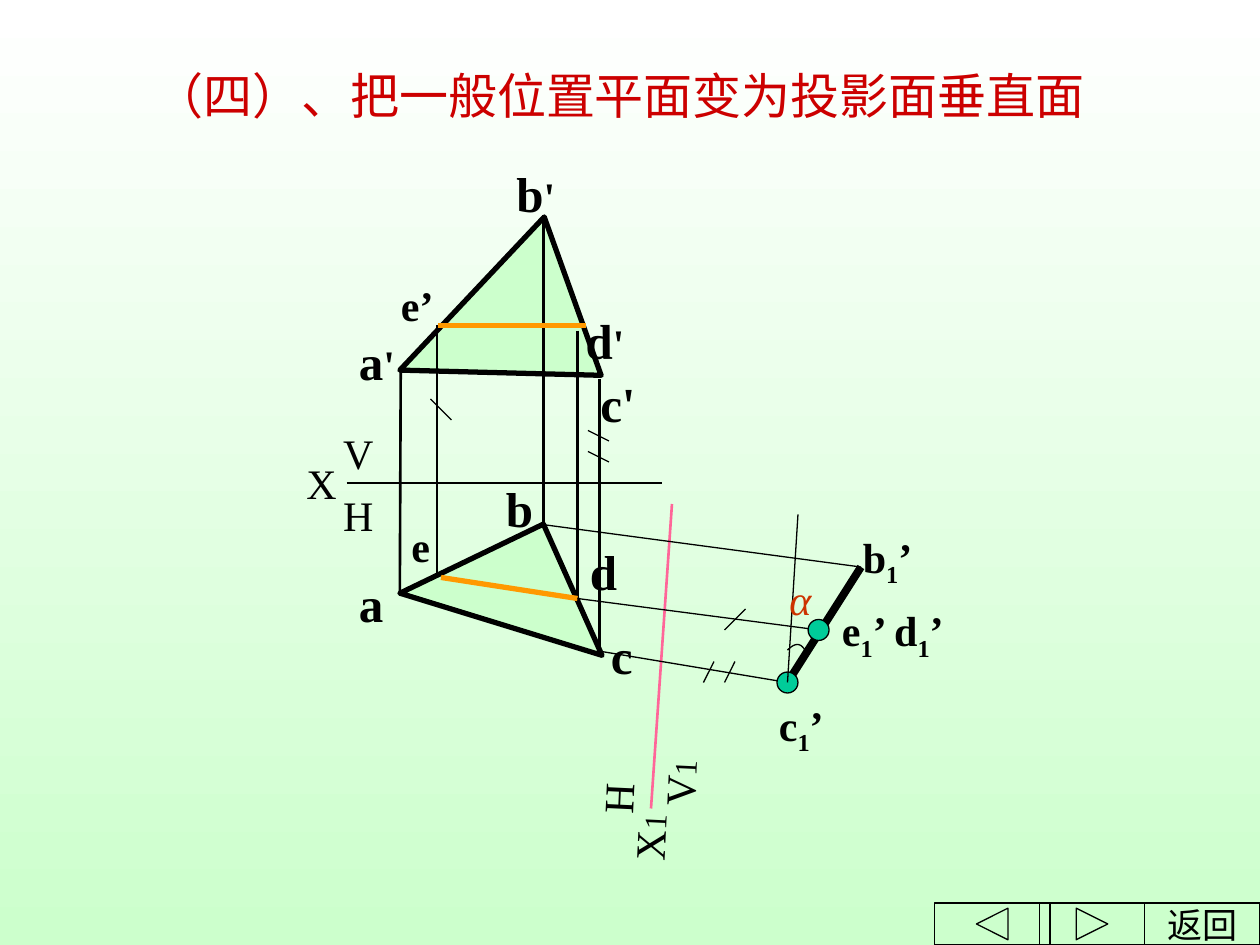
from lxml.etree import SubElement
from pptx import Presentation
from pptx.dml.color import RGBColor
from pptx.enum.shapes import MSO_CONNECTOR, MSO_SHAPE
from pptx.enum.text import MSO_ANCHOR, MSO_AUTO_SIZE, PP_ALIGN
from pptx.oxml.ns import qn
from pptx.util import Pt

BLACK = RGBColor(0x00, 0x00, 0x00)
WHITE = RGBColor(0xFF, 0xFF, 0xFF)
MINT = RGBColor(0xCC, 0xFF, 0xCC)
RED = RGBColor(0xCC, 0x00, 0x00)
RUST = RGBColor(0xCC, 0x33, 0x00)
ORANGE = RGBColor(0xFF, 0x99, 0x00)
PINK = RGBColor(0xFF, 0x66, 0x99)
TEAL = RGBColor(0x00, 0xCC, 0x99)


def write(para, text, size, color=BLACK, **extra):
    """Add one run, with its font set from a dict of values."""
    run = para.add_run()
    run.text = text
    look = {"name": "Times New Roman", "size": Pt(size), **extra}
    for key, val in look.items():
        setattr(run.font, key, val)
    run.font.color.rgb = color
    return run


def outline(paths, fill=None, width=0.75):
    """Draw a freeform; each path is a list of points and a closed flag."""
    first = paths[0][0][0]
    pen = deck_shapes.build_freeform(Pt(first[0]), Pt(first[1]))
    for i, (spots, shut) in enumerate(paths):
        spots = [(Pt(x), Pt(y)) for x, y in spots]
        if i:
            pen.move_to(*spots[0])
        pen.add_line_segments(spots[1:], close=shut)
    form = pen.convert_to_shape()
    form.shadow.inherit = False
    if fill is None:
        form.fill.background()
    else:
        form.fill.solid()
        form.fill.fore_color.rgb = fill
    form.line.color.rgb = BLACK
    form.line.width = Pt(width)
    return form


deck = Presentation()
deck.slide_width, deck.slide_height = Pt(720), Pt(540)
slide = deck.slides.add_slide(deck.slide_layouts[5])
deck_shapes = slide.shapes

# Background, white at the top to mint at the bottom
back = slide.background.fill
back.gradient()
back.gradient_angle = 270
for stop, color in zip(back.gradient_stops, (WHITE, MINT)):
    stop.color.rgb = color

# Title
title = deck_shapes.title
title.left, title.top, title.width, title.height = Pt(48), Pt(30), Pt(612), Pt(48)
frame = title.text_frame
frame.auto_size = MSO_AUTO_SIZE.NONE
frame.vertical_anchor = MSO_ANCHOR.MIDDLE
para = frame.paragraphs[0]
para.alignment = PP_ALIGN.CENTER
write(para, "（四）、把一般位置平面变为投影面垂直面", 28, RED)

# Triangles abc and a'b'c'
for spots in ([(228.5, 339), (310.5, 299.5), (344, 374.5)],
              [(228.5, 211.5), (311, 124), (343.5, 214.5)]):
    outline([(spots, True)], MINT, 3)

# Lines: x1, y1, x2, y2, colour, width
lines = [
    (229, 212, 228.5, 338.5, BLACK, 1.5),    # a' to a
    (310.5, 124.5, 310.5, 299.5, BLACK, 1.5),  # b' to b
    (342.5, 216.5, 342.5, 374.5, BLACK, 1.5),  # c' to c
    (198, 276, 378, 276, BLACK, 1.5),        # X axis
    (330, 189, 330, 342, BLACK, 1.5),        # d' to d
    (252, 330, 330, 342, ORANGE, 3),         # ed
    (250.5, 186, 335, 186, ORANGE, 3),       # e'd'
    (249.75, 186, 249.75, 330, BLACK, 0.75),  # e' to e
    (384, 288, 372, 462, PINK, 1.5),         # X1 axis
    (330, 342, 468, 360, BLACK, 0.75),       # d to d1'
    (342, 372, 450, 390, BLACK, 0.75),       # c to c1'
    (312, 300, 492, 324, BLACK, 0.75),       # b to b1'
    (450, 390, 492, 324, BLACK, 4.5),        # c1' to b1'
    (246, 228, 258, 240, BLACK, 0.75),       # equal length marks
    (414, 360, 426, 348, BLACK, 0.75),
    (402, 390, 408, 378, BLACK, 0.75),
    (414, 390, 420, 378, BLACK, 0.75),
    (336, 246, 348, 252, BLACK, 0.75),
    (336, 258, 348, 264, BLACK, 0.75),
]

# Points c1' and e1', drawn between the lines and the angle's upright
upright = (450, 390, 456, 294, BLACK, 0.75)
for x1, y1, x2, y2, color, width in lines + [upright]:
    if (x1, y1, x2, y2, color, width) == upright:
        for x, y in ((444, 384), (461.75, 354)):
            dot = deck_shapes.add_shape(MSO_SHAPE.OVAL, Pt(x), Pt(y), Pt(12), Pt(12))
            dot.shadow.inherit = False
            dot.fill.solid()
            dot.fill.fore_color.rgb = TEAL
            dot.line.color.rgb = BLACK
            dot.line.width = Pt(0.75)
    link = deck_shapes.add_connector(MSO_CONNECTOR.STRAIGHT, Pt(x1), Pt(y1), Pt(x2), Pt(y2))
    link.line.color.rgb = color
    link.line.width = Pt(width)
    SubElement(link._element.spPr, qn("a:effectLst"))

# Angle arc, a cubic curve in short steps
curve = [(450, 371.5), (453.5, 368), (457, 366.5), (460, 371.5)]
arc = []
for step in range(13):
    t = step / 12
    parts = ((1 - t) ** 3, 3 * t * (1 - t) ** 2, 3 * t * t * (1 - t), t ** 3)
    arc.append(tuple(sum(p * spot[i] for p, spot in zip(parts, curve)) for i in (0, 1)))
outline([(arc, False)])

# Labels: left, top, width, height, rotation, bold, runs of (text, size)
prime, sub = ("'", 24), ("1", 24)
labels = [
    (198, 186, 71, 41, 0, True, [("a", 28), prime]),
    (336, 210, 44, 41, 0, True, [("c'", 28)]),
    (168, 258, 64, 36, 0, False, [("X", 24)]),
    (189, 241, 41, 36, 0, False, [("V", 24)]),
    (189, 276, 41, 36, 0, False, [("H", 24)]),
    (288, 90, 71, 41, 0, True, [("b", 28), prime]),
    (282, 270, 71, 41, 0, True, [("b", 28)]),
    (198, 324, 36, 41, 0, True, [("a", 28)]),
    (342, 354, 44, 41, 0, True, [("c", 28)]),
    (327.5, 174, 54, 41, -0.4, True, [("d", 28), prime]),
    (330, 306, 45, 41, 0, True, [("d", 28)]),
    (222, 156, 54, 36, 0, True, [("e’", 24)]),
    (228, 294, 30, 36, 0, True, [("e", 24)]),
    (337.75, 447, 67.5, 36, 272.7, False, [("X", 24), ("1", 18)]),
    (319.75, 420.5, 67.5, 36, 272.7, False, [("H", 24)]),
    (367, 428.5, 42.5, 36, 272.7, False, [("V", 24), ("1", 18)]),
    (438, 396, 72, 40, 0, True, [("c", 24), sub, ("’", 24)]),
    (486, 300, 72, 40, 0, True, [("b", 24), sub, ("’", 24)]),
    (474, 342, 126, 40, 0, True, [("e", 24), sub, ("’ d", 24), sub, ("’", 24)]),
    (444, 324, 30, 36, 0, False, [("α", 24)]),
]
for x, y, w, h, turn, bold, runs in labels:
    box = deck_shapes.add_textbox(Pt(x), Pt(y), Pt(w), Pt(h))
    box.rotation = turn
    box.text_frame.word_wrap = True
    para = box.text_frame.paragraphs[0]
    for text, size in runs:
        angle = text == "α"
        run = write(para, text, size, RUST if angle else BLACK, bold=bold, italic=angle)
        if (text, size) == sub:
            run._r.get_or_add_rPr().set("baseline", "-25000")

# Buttons: left, right, sign
buttons = [
    (654, 720, None),
    (534, 600, [(558, 528), (576, 519), (576, 537)]),
    (594, 654, [(615, 519), (633, 528), (615, 537)]),
]
for left, right, sign in buttons:
    paths = [([(left, 516), (right, 516), (right, 540), (left, 540)], True)]
    if sign:
        paths.append((sign, True))
    button = outline(paths)
    if not sign:
        frame = button.text_frame
        frame.word_wrap = False
        frame.vertical_anchor = MSO_ANCHOR.MIDDLE
        para = frame.paragraphs[0]
        para.alignment = PP_ALIGN.CENTER
        write(para, "返回", 20)

deck.save("out.pptx")
